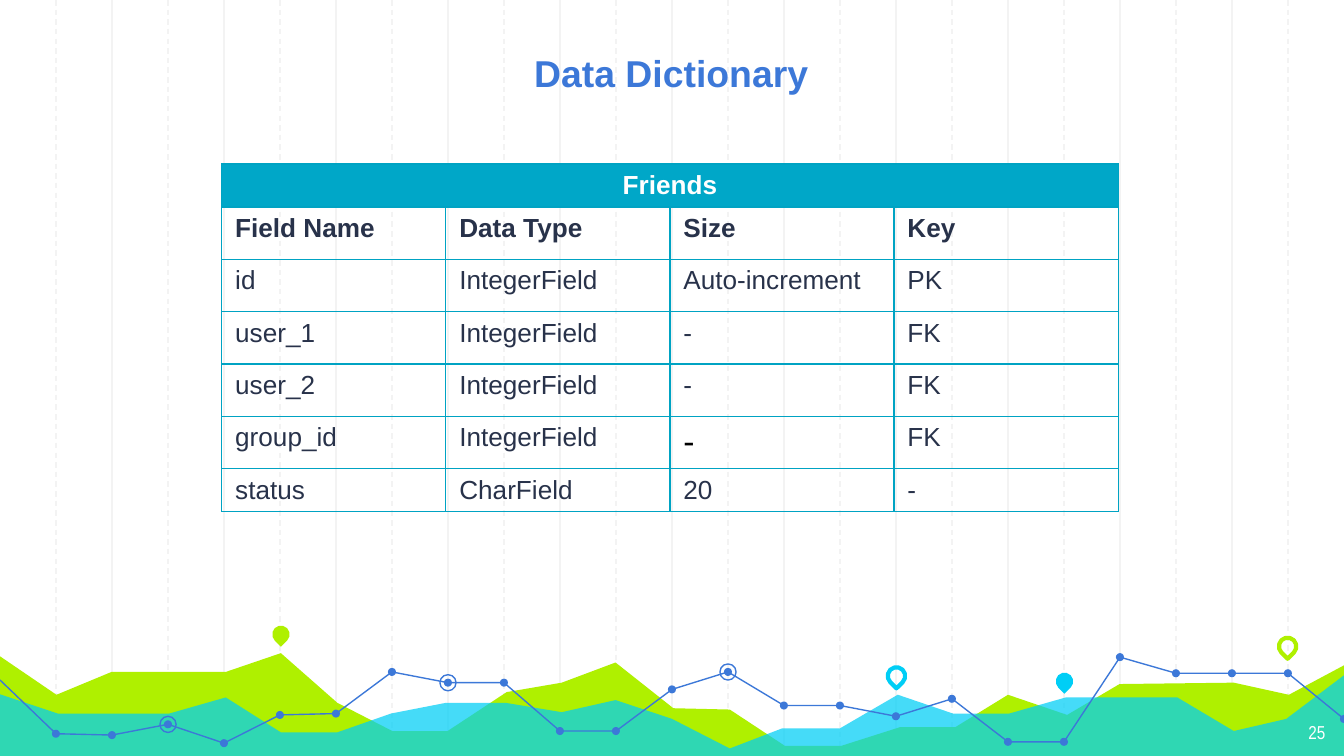
from lxml import etree
from pptx import Presentation
from pptx.dml.color import RGBColor
from pptx.enum.dml import MSO_LINE
from pptx.enum.shapes import MSO_CONNECTOR, MSO_SHAPE
from pptx.enum.text import MSO_ANCHOR, PP_ALIGN
from pptx.oxml.ns import qn
from pptx.util import Inches, Pt

STRAIGHT = MSO_CONNECTOR.STRAIGHT
ELLIPSE, TEARDROP = MSO_SHAPE.OVAL, MSO_SHAPE.TEAR
DASH = MSO_LINE.DASH
TOP, BOTTOM = MSO_ANCHOR.TOP, MSO_ANCHOR.BOTTOM
LEFT, CENTER, RIGHT = PP_ALIGN.LEFT, PP_ALIGN.CENTER, PP_ALIGN.RIGHT

WIDTH = 10
HEIGHT = WIDTH * 9 / 16
STEP = WIDTH / 24
BLUE, LIME, CYAN = "3C78D8", "AFF000", "00CEF6"
TEAL, HEADER_TEAL, INK = "00A3C3", "00A7C8", "28324A"
WHITE, BLACK, PALE_GREY = "FFFFFF", "000000", "F3F3F3"

# Landscape heights are measured down from the top of its box.
LIME_RIDGE = [
    (-0.02, 0.37), (0.42, 0.67), (0.83, 0.5), (1.68, 0.5), (2.09, 0.36),
    (2.51, 0.73), (2.92, 0.94), (3.33, 0.94), (3.77, 0.65), (4.18, 0.58),
    (4.58, 0.43), (5.01, 0.77), (5.43, 0.78), (5.84, 1.05), (6.26, 1.05),
    (6.7, 0.91), (7.11, 0.91), (7.5, 0.67), (7.94, 0.82), (8.33, 0.59),
    (9.18, 0.58), (9.59, 0.67), (10.02, 0.44)]
CYAN_RIDGE = [
    (-0.02, 0.66), (0.43, 0.81), (1.26, 0.81), (1.68, 0.69), (2.09, 0.95),
    (2.51, 0.95), (2.91, 0.81), (3.32, 0.73), (3.76, 0.73), (4.18, 0.8),
    (4.58, 0.71), (5, 0.85), (5.43, 1.07), (5.82, 0.92), (6.25, 0.92),
    (6.68, 0.67), (7.09, 0.81), (7.51, 0.81), (7.93, 0.69), (8.76, 0.69),
    (9.18, 0.94), (9.57, 0.85), (10.02, 0.51)]
TREND = [0.56, 0.96, 0.97, 0.89, 1.03, 0.82, 0.81, 0.5, 0.58, 0.58, 0.94, 0.94,
         0.63, 0.5, 0.75, 0.75, 0.83, 0.7, 1.02, 1.02, 0.39, 0.51, 0.51, 0.51,
         0.85]
TREND_BREAKS = [0, 11, 20, 24]
RINGED_POINTS = [3, 8, 13]
# centre x, centre y, colour, filled
PINS = [(2.09, 0.22, LIME, True), (6.67, 0.53, CYAN, False),
        (7.92, 0.57, CYAN, True), (9.58, 0.31, LIME, False)]

FIELDS = [
    ["Field Name", "Data Type", "Size", "Key"],
    ["id", "IntegerField", "Auto-increment", "PK"],
    ["user_1", "IntegerField", "-", "FK"],
    ["user_2", "IntegerField", "-", "FK"],
    ["group_id", "IntegerField", "-", "FK"],
    ["status", "CharField", "20", "-"]]
ROW_HEIGHTS = [0.32, 0.39, 0.39, 0.39, 0.39, 0.39, 0.32]
LARGE_DASH_CELL = (5, 2)


def rgb(hex_color):
    return RGBColor.from_string(hex_color)


def paint(shape, fill=None, line=None, weight=0.75):
    shape.shadow.inherit = False
    if fill:
        shape.fill.solid()
        shape.fill.fore_color.rgb = rgb(fill)
    else:
        shape.fill.background()
    if line:
        shape.line.color.rgb = rgb(line)
        shape.line.width = Pt(weight)
    else:
        shape.line.fill.background()


def write(frame, text, align=LEFT, **font_format):
    paragraph = frame.paragraphs[0]
    paragraph.alignment = align
    run = paragraph.add_run()
    run.text = text
    run.font.color.rgb = rgb(font_format.pop("color"))
    run.font.size = Pt(font_format.pop("size"))
    for attribute, value in font_format.items():
        setattr(run.font, attribute, value)


def add_text(slide, box, text, align, anchor, **font_format):
    frame = slide.shapes.add_textbox(*map(Inches, box)).text_frame
    frame.word_wrap = True
    frame.vertical_anchor = anchor
    for side in ("left", "top", "right", "bottom"):
        setattr(frame, f"margin_{side}", Inches(0.1))
    write(frame, text, align, **font_format)


def add_path(slide, box, points, closed):
    left, top = box[:2]
    corners = [(Inches(left + x), Inches(top + y)) for x, y in points]
    builder = slide.shapes.build_freeform(*corners[0], scale=1.0)
    builder.add_line_segments(corners[1:], close=closed)
    return builder.convert_to_shape()


def add_centered(slide, box, kind, x, y, size):
    corner = Inches(box[0] + x - size / 2), Inches(box[1] + y - size / 2)
    return slide.shapes.add_shape(kind, *corner, Inches(size), Inches(size))


def add_gridlines(slide, box):
    """Solid lines on even steps, then dashed lines on odd steps."""
    left, top, _, height = box
    for i in [*range(2, 24, 2), *range(1, 24, 2)]:
        x = Inches(left + i * STEP)
        gridline = slide.shapes.add_connector(
            STRAIGHT, x, Inches(top), x, Inches(top + height))
        gridline.line.color.rgb = rgb(PALE_GREY)
        gridline.line.width = Pt(0.75)
        if i % 2:
            gridline.line.dash_style = DASH
        etree.SubElement(gridline._element.spPr, qn("a:effectLst"))


def add_landscape(slide, box):
    """Two filled ridges, map pins and the dotted trend line."""
    width, height = box[2:]
    base = [(width + 0.02, height), (-0.03, height)]
    for ridge, color in ((LIME_RIDGE, LIME), (CYAN_RIDGE, CYAN)):
        area = add_path(slide, box, ridge + base, True)
        paint(area, color)
    solid = area._element.spPr.find(qn("a:solidFill"))
    etree.SubElement(solid[0], qn("a:alpha"), val="73000")

    for x, y, color, filled in PINS:
        pin = add_centered(slide, box, TEARDROP, x, y, 0.13)
        pin.rotation = 135
        if filled:
            paint(pin, color)
        else:
            paint(pin, line=color, weight=2.25)

    points = [(i * STEP, y) for i, y in enumerate(TREND)]
    for start, end in zip(TREND_BREAKS, TREND_BREAKS[1:]):
        paint(add_path(slide, box, points[start:end + 1], False), line=BLUE)
    for point in points[1:]:
        paint(add_centered(slide, box, ELLIPSE, *point, 0.06), BLUE)
    for i in RINGED_POINTS:
        paint(add_centered(slide, box, ELLIPSE, *points[i], 0.12), line=BLUE)


def style_cell(cell, fill=None):
    cell.margin_bottom = Inches(0.03)
    properties = cell._tc.get_or_add_tcPr()
    for side in ("lnL", "lnR", "lnT", "lnB"):
        border = etree.SubElement(properties, qn(f"a:{side}"), w=str(Pt(0.75)))
        solid = etree.SubElement(border, qn("a:solidFill"))
        etree.SubElement(solid, qn("a:srgbClr"), val=TEAL)
    if fill:
        cell.fill.solid()
        cell.fill.fore_color.rgb = rgb(fill)
    else:
        cell.fill.background()


def add_dictionary(slide, box):
    table = slide.shapes.add_table(
        len(ROW_HEIGHTS), len(FIELDS[0]), *map(Inches, box)).table
    table.first_row = table.horz_banding = False
    for column in table.columns:
        column.width = Inches(box[2] / len(FIELDS[0]))
    for row, height in zip(table.rows, ROW_HEIGHTS):
        row.height = Inches(height)

    heading = table.cell(0, 0)
    heading.merge(table.cell(0, len(FIELDS[0]) - 1))
    for cell in table.rows[0].cells:
        style_cell(cell, HEADER_TEAL)
    write(heading.text_frame, "Friends", CENTER,
          size=14, name="Arial", color=WHITE, bold=True)

    for r, values in enumerate(FIELDS, 1):
        for c, value in enumerate(values):
            cell = table.cell(r, c)
            style_cell(cell)
            large = (r, c) == LARGE_DASH_CELL
            write(cell.text_frame, value, size=18 if large else 14,
                  name="Arial", color=BLACK if large else INK, bold=r == 1)


def main():
    deck = Presentation()
    deck.slide_width, deck.slide_height = Inches(WIDTH), Inches(HEIGHT)
    slide = deck.slides.add_slide(deck.slide_layouts[6])
    add_gridlines(slide, (0, 0, WIDTH, 5.64))
    add_landscape(slide, (0, 4.5, WIDTH, 1.14))
    add_text(slide, (9.36, 5.28, 0.6, 0.35), "25", RIGHT, TOP,
             size=10, name="Arial Narrow", color=WHITE)
    add_dictionary(slide, (1.65, 1.22, 6.67, sum(ROW_HEIGHTS)))
    add_text(slide, (1.17, 0.36, 7.65, 0.45), "Data Dictionary", CENTER, BOTTOM,
             size=20, name="Arial", color=BLUE, bold=True)
    deck.save("out.pptx")


if __name__ == "__main__":
    main()
